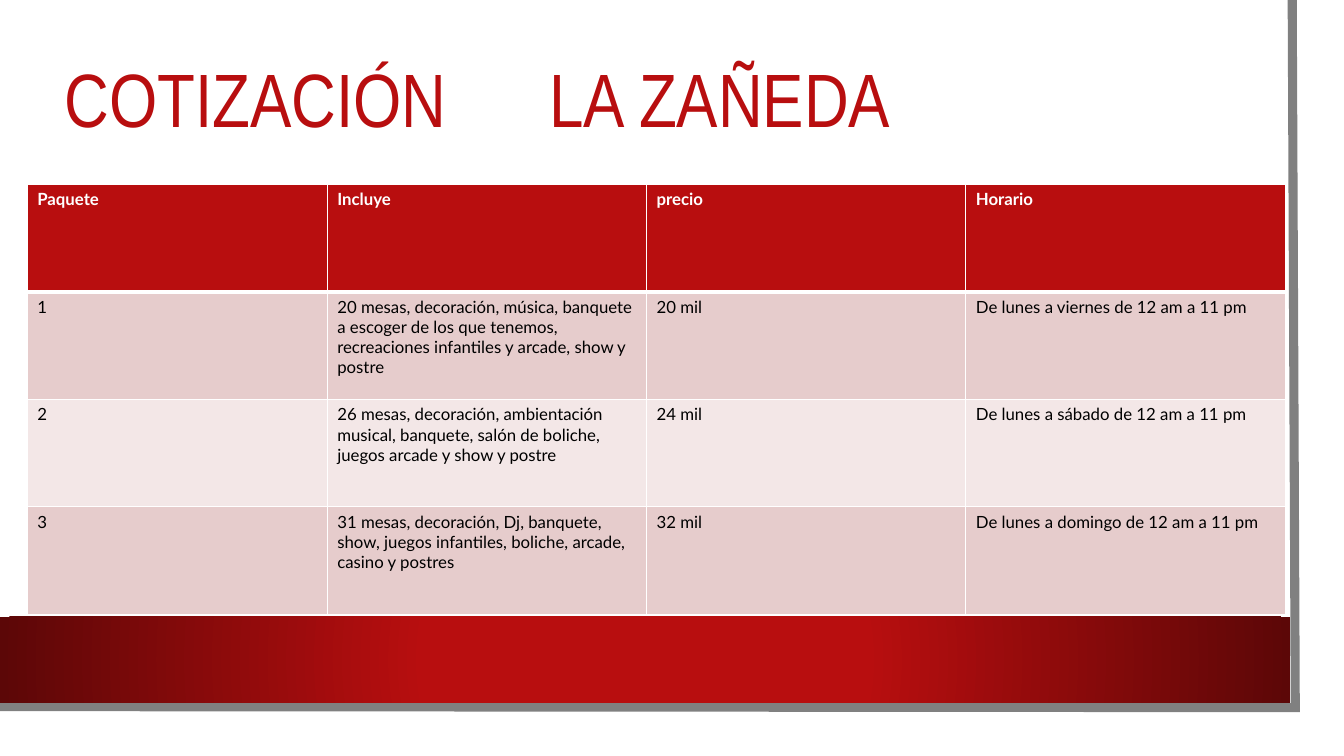
from dataclasses import dataclass

from lxml import etree
from pptx import Presentation
from pptx.dml.color import RGBColor
from pptx.enum import shapes, text
from pptx.oxml import ns
from pptx.slide import Slide
from pptx.text.text import TextFrame
from pptx.util import Length, Pt


@dataclass(frozen=True)
class Theme:
    red: str = "B80E0F"
    dark: str = "5C0707"
    rose: str = "E6CCCC"
    pale: str = "F3E7E7"
    gray: str = "808080"
    white: str = "FFFFFF"
    black: str = "000000"
    head: str = "Arial Narrow"
    body: str = "Lato"
    big: float = 54
    small: float = 12


@dataclass(frozen=True)
class Box:
    x: float
    y: float
    w: float
    h: float

    def pts(self) -> tuple[Length, ...]:
        return Pt(self.x), Pt(self.y), Pt(self.w), Pt(self.h)


@dataclass(frozen=True)
class Row:
    pack: str
    items: str
    price: str
    hours: str

    def cells(self) -> tuple[str, ...]:
        return self.pack, self.items, self.price, self.hours


THEME = Theme()
TITLE = Box(38.88, 28.08, 818.64, 90.72)
BAND = Box(0, 440.64, 921.6, 61.2)
GRID = Box(19.44, 131.6, 898.6, 307.2)
COLS = (214.3, 228.1, 228.1, 228.1)
EDGE = ((923.04, 0), (925.2, 505.44), (-2.16, 504.72))
TAB = 346.5
ROWS = (
    Row("Paquete", "Incluye", "precio", "Horario"),
    Row("1", "20 mesas, decoración, música, banquete a escoger de los que tenemos, "
        "recreaciones infantiles y arcade, show y postre",
        "20 mil", "De lunes a viernes de 12 am a 11 pm"),
    Row("2", "26 mesas, decoración, ambientación musical, banquete, salón de boliche, "
        "juegos arcade y show y postre",
        "24 mil", "De lunes a sábado de 12 am a 11 pm"),
    Row("3", "31 mesas, decoración, Dj, banquete, show, juegos infantiles, boliche, "
        "arcade, casino y postres",
        "32 mil", "De lunes a domingo de 12 am a 11 pm"),
)


def tint(code: str) -> RGBColor:
    return RGBColor.from_string(code)


def write(frame: TextFrame, words: str, *, font: str = THEME.body,
          size: float = THEME.small, color: str = THEME.black,
          bold: bool = False, space: float = 1.0) -> None:
    para = frame.paragraphs[0]
    para.line_spacing = space
    run = para.add_run()
    run.text = words
    run.font.name = font
    run.font.size = Pt(size)
    run.font.bold = bold
    run.font.color.rgb = tint(color)


def node(base, tag: str, **attrs: str):
    return etree.SubElement(base, ns.qn(tag), attrs)


def draw_edge(slide: Slide) -> None:
    start, *rest = [(Pt(x), Pt(y)) for x, y in EDGE]
    pen = slide.shapes.build_freeform(*start)
    pen.add_line_segments(rest, close=False)
    edge = pen.convert_to_shape()
    edge.shadow.inherit = False
    edge.fill.background()
    edge.line.color.rgb = tint(THEME.gray)
    edge.line.width = Pt(6.5)
    node(edge._element.spPr.find(ns.qn("a:ln")), "a:miter", lim="800000")


def draw_band(slide: Slide) -> None:
    band = slide.shapes.add_shape(shapes.MSO_SHAPE.RECTANGLE, *BAND.pts())
    band.shadow.inherit = False
    band.line.fill.background()
    band.fill.gradient()
    marks = ((0.34, THEME.red), (1.0, THEME.dark))
    for stop, (place, color) in zip(band.fill.gradient_stops, marks):
        stop.position = place
        stop.color.rgb = tint(color)
    grad = band._element.spPr.find(ns.qn("a:gradFill"))
    grad.remove(grad.find(ns.qn("a:lin")))
    ring = node(grad, "a:path", path="circle")
    node(ring, "a:fillToRect", l="50000", t="50000", r="50000", b="50000")


def draw_title(slide: Slide) -> None:
    frame = slide.shapes.add_textbox(*TITLE.pts()).text_frame
    frame.word_wrap = True
    frame.vertical_anchor = text.MSO_ANCHOR.MIDDLE
    write(frame, "COTIZACIÓN\tLA ZAÑEDA", font=THEME.head, size=THEME.big,
          color=THEME.red, space=0.9)
    props = frame.paragraphs[0]._p.get_or_add_pPr()
    tabs = node(props, "a:tabLst")
    node(tabs, "a:tab", pos=str(Pt(TAB)), algn="l")


def rule(cell, side: str, width: float) -> None:
    line = node(cell._tc.get_or_add_tcPr(), f"a:ln{side}", w=str(Pt(width)))
    node(node(line, "a:solidFill"), "a:srgbClr", val=THEME.white)


def draw_grid(slide: Slide) -> None:
    grid = slide.shapes.add_table(len(ROWS), len(COLS), *GRID.pts()).table
    for col, width in zip(grid.columns, COLS):
        col.width = Pt(width)
    for i, row in enumerate(ROWS):
        grid.rows[i].height = Pt(GRID.h / len(ROWS))
        top = i == 0
        fill = THEME.red if top else THEME.rose if i % 2 else THEME.pale
        for j, words in enumerate(row.cells()):
            cell = grid.cell(i, j)
            for side in "LRTB":
                thick = (side, i) in (("B", 0), ("T", 1))
                rule(cell, side, 3 if thick else 1)
            cell.fill.solid()
            cell.fill.fore_color.rgb = tint(fill)
            write(cell.text_frame, words, bold=top,
                  color=THEME.white if top else THEME.black)


def main() -> None:
    """Build the price slide and save it."""
    deck = Presentation()
    deck.slide_width, deck.slide_height = Pt(960), Pt(540)
    slide = deck.slides.add_slide(deck.slide_layouts[6])
    for draw in (draw_edge, draw_band, draw_title, draw_grid):
        draw(slide)
    deck.save("out.pptx")


if __name__ == "__main__":
    main()
